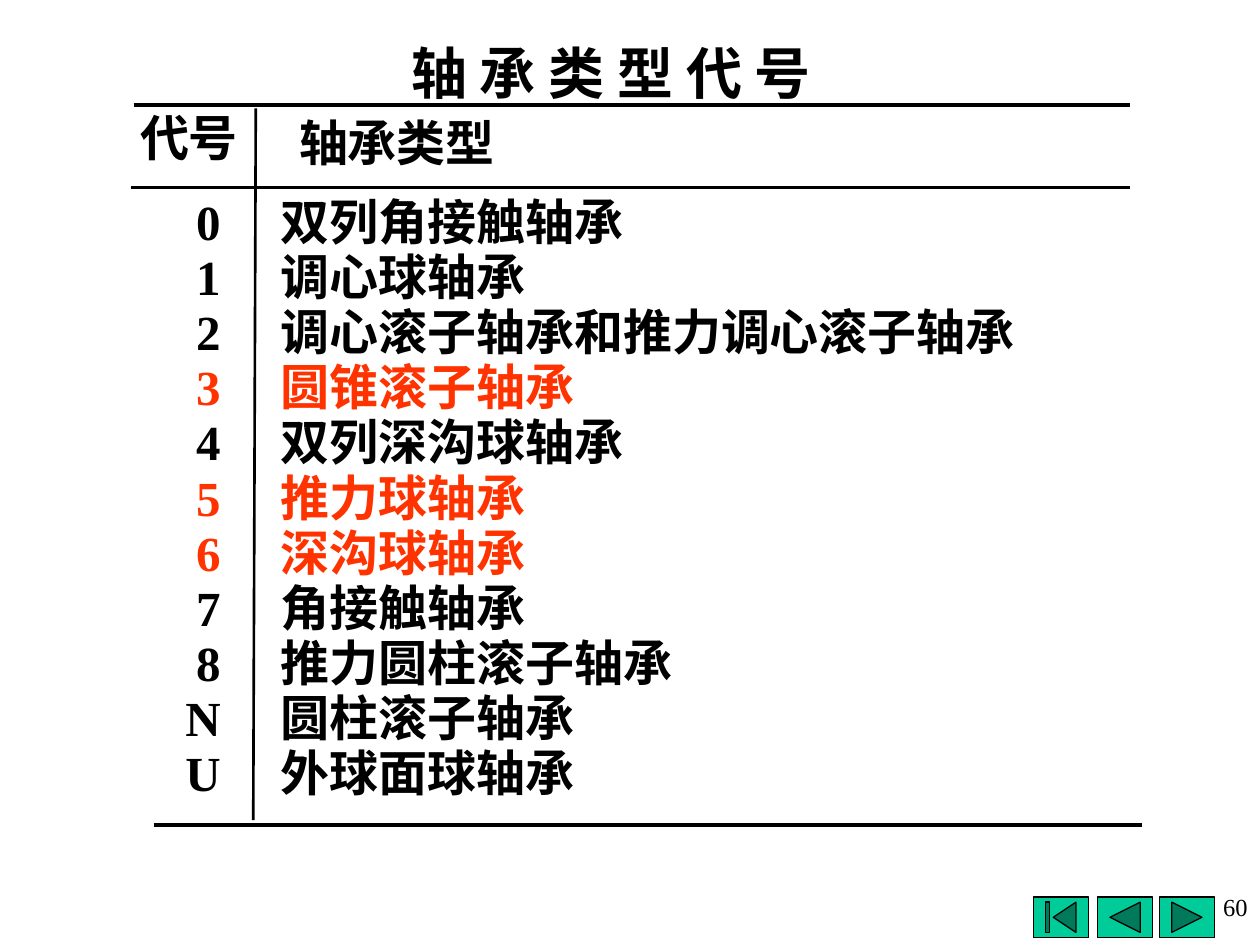
from lxml.etree import SubElement
from pptx import Presentation
from pptx.dml.color import RGBColor
from pptx.enum.shapes import MSO_CONNECTOR as CONN, MSO_SHAPE as SHAPE
from pptx.enum.text import MSO_ANCHOR as ANCHOR, PP_ALIGN as ALIGN
from pptx.oxml.ns import qn
from pptx.util import Inches, Pt

BLACK = RGBColor(0x00, 0x00, 0x00)
RED = RGBColor(0xFF, 0x33, 0x00)
GREEN = RGBColor(0x00, 0xCC, 0x99)
LATIN, CJK = "Times New Roman", "Noto Sans CJK SC"

TITLE = "轴 承 类 型 代 号"
HEADERS = [("代号", 1.0, 0.8, 1.0), ("轴承类型", 2.25, 0.84, 1.8)]
BEARINGS = [
    ("0", "双列角接触轴承"),
    ("1", "调心球轴承"),
    ("2", "调心滚子轴承和推力调心滚子轴承"),
    ("3", "圆锥滚子轴承"),
    ("4", "双列深沟球轴承"),
    ("5", "推力球轴承"),
    ("6", "深沟球轴承"),
    ("7", "角接触轴承"),
    ("8", "推力圆柱滚子轴承"),
    ("N", "圆柱滚子轴承"),
    ("U", "外球面球轴承"),
]
COMMON = {"3", "5", "6"}
RULES = [
    (1.06, 0.83, 8.97, 0.83, 2.25),
    (1.04, 1.49, 8.97, 1.49, 1.5),
    (2.03, 0.86, 2.01, 6.51, 1.5),
    (1.22, 6.55, 9.06, 6.55, 2.25),
]
BUTTONS = [
    (SHAPE.ACTION_BUTTON_BEGINNING, 8.2),
    (SHAPE.ACTION_BUTTON_BACK_OR_PREVIOUS, 8.71),
    (SHAPE.ACTION_BUTTON_FORWARD_OR_NEXT, 9.2),
]
ROW_TOP, ROW_BOTTOM, ROW_H = 1.47, 5.84, 0.57
CODE_X, CODE_W = 1.25, 0.6
NAME_X, NAME_W = 2.13, 6.1


def add_text(s, text, x, y, w, h=ROW_H, size=28, color=BLACK, align=ALIGN.CENTER,
             bold=True, font=LATIN, anchor=ANCHOR.MIDDLE):
    tf = s.shapes.add_textbox(Inches(x), Inches(y), Inches(w), Inches(h)).text_frame
    tf.word_wrap = True
    tf.vertical_anchor = anchor
    tf.text = text
    p = tf.paragraphs[0]
    p.alignment = align
    r = p.runs[0]
    r.font.name, r.font.size, r.font.bold = font, Pt(size), bold
    r.font.color.rgb = color
    SubElement(r.font._element, qn("a:ea")).set("typeface", CJK)


def add_rule(s, x1, y1, x2, y2, width):
    line = s.shapes.add_connector(CONN.STRAIGHT, Inches(x1), Inches(y1), Inches(x2), Inches(y2))
    line.line.color.rgb = BLACK
    line.line.width = Pt(width)
    SubElement(line._element.spPr, qn("a:effectLst"))


def add_button(s, kind, x):
    sp = s.shapes.add_shape(kind, Inches(x), Inches(7.12), Inches(0.44), Inches(0.32))
    sp.shadow.inherit = False
    sp.fill.solid()
    sp.fill.fore_color.rgb = GREEN
    sp.line.color.rgb = BLACK
    sp.line.width = Pt(0.75)


def main():
    prs = Presentation()
    prs.slide_width, prs.slide_height = Inches(10), Inches(7.5)
    s = prs.slides.add_slide(prs.slide_layouts[6])
    for button in BUTTONS:
        add_button(s, *button)
    for rule in RULES:
        add_rule(s, *rule)
    add_text(s, TITLE, 1.93, 0.25, 5.84, 0.64, size=32, font=CJK)
    for header in HEADERS:
        add_text(s, *header)
    pitch = (ROW_BOTTOM - ROW_TOP) / (len(BEARINGS) - 1)
    for i, (code, name) in enumerate(BEARINGS):
        y = ROW_TOP + i * pitch
        color = RED if code in COMMON else BLACK
        add_text(s, code, CODE_X, y, CODE_W, color=color, align=ALIGN.RIGHT)
        add_text(s, name, NAME_X, y, NAME_W, color=color, align=ALIGN.LEFT)
    add_text(s, "60", 7.48, 7.03, 2.52, 0.61, size=14, align=ALIGN.RIGHT,
             bold=False, anchor=ANCHOR.TOP)
    prs.save("out.pptx")


if __name__ == "__main__":
    main()
